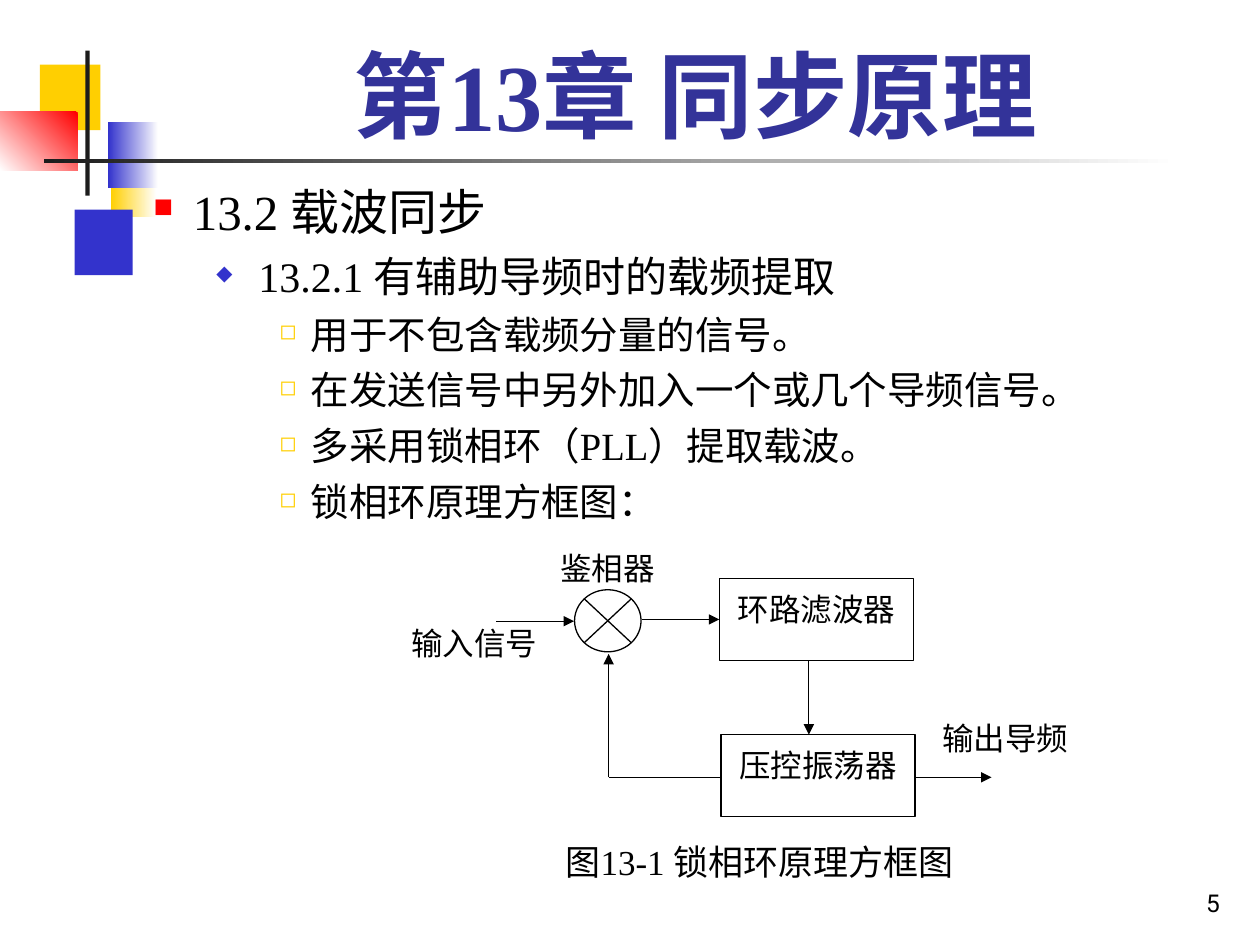
from lxml import etree
from pptx import Presentation
from pptx.dml.color import RGBColor
from pptx.enum.shapes import MSO_CONNECTOR, MSO_SHAPE
from pptx.enum.text import MSO_ANCHOR, MSO_AUTO_SIZE, PP_ALIGN
from pptx.oxml.ns import qn
from pptx.util import Pt

RECT = MSO_SHAPE.RECTANGLE
JUNCTION = MSO_SHAPE.FLOWCHART_SUMMING_JUNCTION
STRAIGHT = MSO_CONNECTOR.STRAIGHT
TOP, BOTTOM = MSO_ANCHOR.TOP, MSO_ANCHOR.BOTTOM
LEFT, CENTER, RIGHT = PP_ALIGN.LEFT, PP_ALIGN.CENTER, PP_ALIGN.RIGHT
JUSTIFY = PP_ALIGN.JUSTIFY

BLACK = RGBColor(0, 0, 0)
WHITE = RGBColor(255, 255, 255)
INK = RGBColor(0x1C, 0x1C, 0x1C)
GOLD = RGBColor(0xFF, 0xCF, 0x01)
RED = RGBColor(0xFF, 0, 0)
BLUE = RGBColor(0x33, 0x33, 0xCC)
NAVY = RGBColor(0x33, 0x33, 0x99)

SERIF = "Times New Roman"
SANS = "Roboto"

BLOCKS = [
    (63.4, 57.4, 26, 37.4, GOLD, 0),
    (42.6, 90.8, 33.2, 37.4, BLUE, None),
    (22.8, 8, 34.6, 37.4, GOLD, None),
    (61.8, 41, 28.8, 37.4, BLUE, 0),
    (0, 35, 44.4, 33.4, RED, 225),
    (48.8, 0, 2.4, 82.8, INK, None),
    (25.2, 61.8, 648, 2.2, INK, 0),
]

LEVELS = {
    1: (28, 58.5, -22.5, 7, "■", RED, 55),
    2: (24, 90, -18, 6, "◆", BLUE, 50),
    3: (22, 126, -18, 5.5, "◻", GOLD, 55),
}

POINTS = [
    (1, "13.2 载波同步"),
    (2, " 13.2.1 有辅助导频时的载频提取"),
    (3, "用于不包含载频分量的信号。"),
    (3, "在发送信号中另外加入一个或几个导频信号。"),
    (3, "多采用锁相环（PLL）提取载波。"),
    (3, "锁相环原理方框图："),
]


def set_font(par, size, color=BLACK, name=SERIF, bold=False):
    font = par.font
    font.size, font.name, font.bold = Pt(size), name, bold
    font.color.rgb = color


def set_frame(frame, insets=(7.2, 3.6), anchor=TOP):
    side, top = insets
    frame.word_wrap = True
    frame.auto_size = MSO_AUTO_SIZE.NONE
    frame.vertical_anchor = anchor
    frame.margin_left = frame.margin_right = Pt(side)
    frame.margin_top, frame.margin_bottom = Pt(top), Pt(min(top, 3.6))


def write(shape, text, size, align, insets=(7.2, 3.6), anchor=TOP, **style):
    frame = shape.text_frame
    set_frame(frame, insets, anchor)
    frame.text = text
    par = frame.paragraphs[0]
    par.alignment = align
    set_font(par, size, **style)


def add_text(slide, box, *args, **style):
    label = slide.shapes.add_textbox(*map(Pt, box))
    write(label, *args, **style)


def add_block(slide, kind, box, fill, line=None):
    shape = slide.shapes.add_shape(kind, *map(Pt, box))
    shape.shadow.inherit = False
    shape.fill.solid()
    shape.fill.fore_color.rgb = fill
    if line is None:
        shape.line.fill.background()
    else:
        shape.line.color.rgb = line
        shape.line.width = Pt(0.75)
    return shape


def add_line(slide, start, end, arrow=True):
    line = slide.shapes.add_connector(STRAIGHT, *map(Pt, start + end))
    line.line.color.rgb = BLACK
    line.line.width = Pt(0.75)
    if arrow:
        tail = etree.SubElement(line.line._get_or_add_ln(), qn("a:tailEnd"))
        tail.set("type", "triangle")
    etree.SubElement(line._element.spPr, qn("a:effectLst"))


def add_bullet(par, mark, color, scale):
    props = par._p.get_or_add_pPr()
    tint = etree.SubElement(props, qn("a:buClr"))
    etree.SubElement(tint, qn("a:srgbClr")).set("val", str(color))
    etree.SubElement(props, qn("a:buSzPct")).set("val", str(scale * 1000))
    etree.SubElement(props, qn("a:buChar")).set("char", mark)


def add_decor(slide, box):
    x, y = box[:2]
    for left, top, width, height, color, angle in BLOCKS:
        part = (x + left, y + top, width, height)
        shape = add_block(slide, RECT, part, color)
        if angle is not None:
            shape.fill.gradient()
            shape.fill.gradient_angle = angle
            for stop, tone in zip(shape.fill.gradient_stops, (color, WHITE)):
                stop.color.rgb = tone


def add_title(slide, box):
    title = slide.shapes.title
    title.left, title.top, title.width, title.height = map(Pt, box)
    write(title, "第13章 同步原理", 54, CENTER, anchor=BOTTOM,
          color=NAVY, bold=True)


def add_body(slide, box):
    frame = slide.shapes.add_textbox(*map(Pt, box)).text_frame
    set_frame(frame)
    for i, (level, text) in enumerate(POINTS):
        size, margin, indent, gap, mark, color, scale = LEVELS[level]
        par = frame.paragraphs[0] if i == 0 else frame.add_paragraph()
        par.text = text
        par.alignment = LEFT
        par.level = level - 1
        props = par._p.get_or_add_pPr()
        props.set("marL", str(Pt(margin)))
        props.set("indent", str(Pt(indent)))
        add_bullet(par, mark, color, scale)
        if i:
            par.space_before = Pt(gap)
        set_font(par, size)


def add_loop(slide, box):
    x, y = box[:2]

    def place(left, top, *size):
        return (x + left, y + top) + size

    for text, left, top in [("环路滤波器", 183, 16.5), ("压控振荡器", 184, 105.8)]:
        part = add_block(slide, RECT, place(left, top, 111, 47), WHITE, BLACK)
        write(part, text, 18, CENTER, (7.2, 6.5))
    add_block(slide, JUNCTION, place(100.3, 23, 38, 35.5), WHITE, BLACK)

    add_line(slide, place(55.7, 41), place(100, 41))
    add_line(slide, place(139, 40), place(183, 40))
    add_line(slide, place(234.2, 63.5), place(234.2, 105.8))
    add_line(slide, place(295, 130.2), place(338.6, 130.2))
    add_line(slide, place(184, 130.2), place(119.8, 130.2), arrow=False)
    add_line(slide, place(119.8, 130.2), place(119.8, 59.7))

    labels = [
        ("输出导频", 18, JUSTIFY, (7.2, 6.5), (303.4, 90.6, 100, 47)),
        ("输入信号", 18, JUSTIFY, (7.2, 6.5), (0, 36, 101.5, 47)),
        ("鉴相器", 18, CENTER, (0, 0), (80.2, 0, 77.8, 25)),
        ("图13-1 锁相环原理方框图", 20, CENTER, (7.2, 3.6),
         (19, 162.6, 374.4, 36.7)),
    ]
    for text, size, align, insets, spot in labels:
        add_text(slide, place(*spot), text, size, align, insets)


def add_number(slide, box):
    add_text(slide, box, "5", 14, RIGHT, anchor=BOTTOM, name=SANS)


def main():
    deck = Presentation()
    deck.slide_width, deck.slide_height = Pt(720), Pt(540)
    slide = deck.slides.add_slide(deck.slide_layouts[5])
    add_decor(slide, (0, 29, 674, 129))
    add_title(slide, (90.7, 16.6, 613.4, 72.7))
    add_body(slide, (44.6, 100, 661.7, 440))
    add_loop(slide, (228, 314, 404, 200))
    add_number(slide, (554.4, 491.8, 149.8, 36))
    deck.save("out.pptx")


if __name__ == "__main__":
    main()
